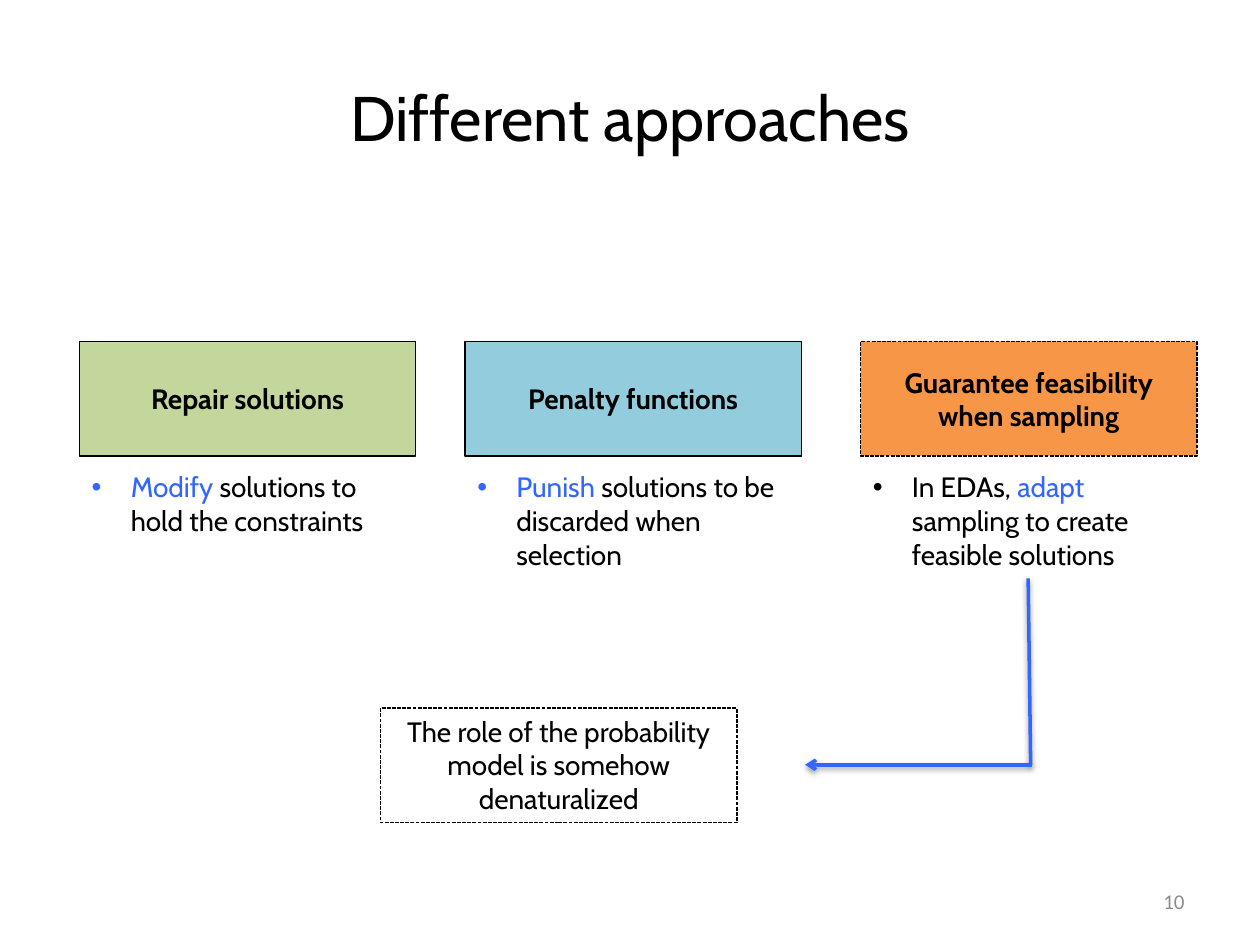
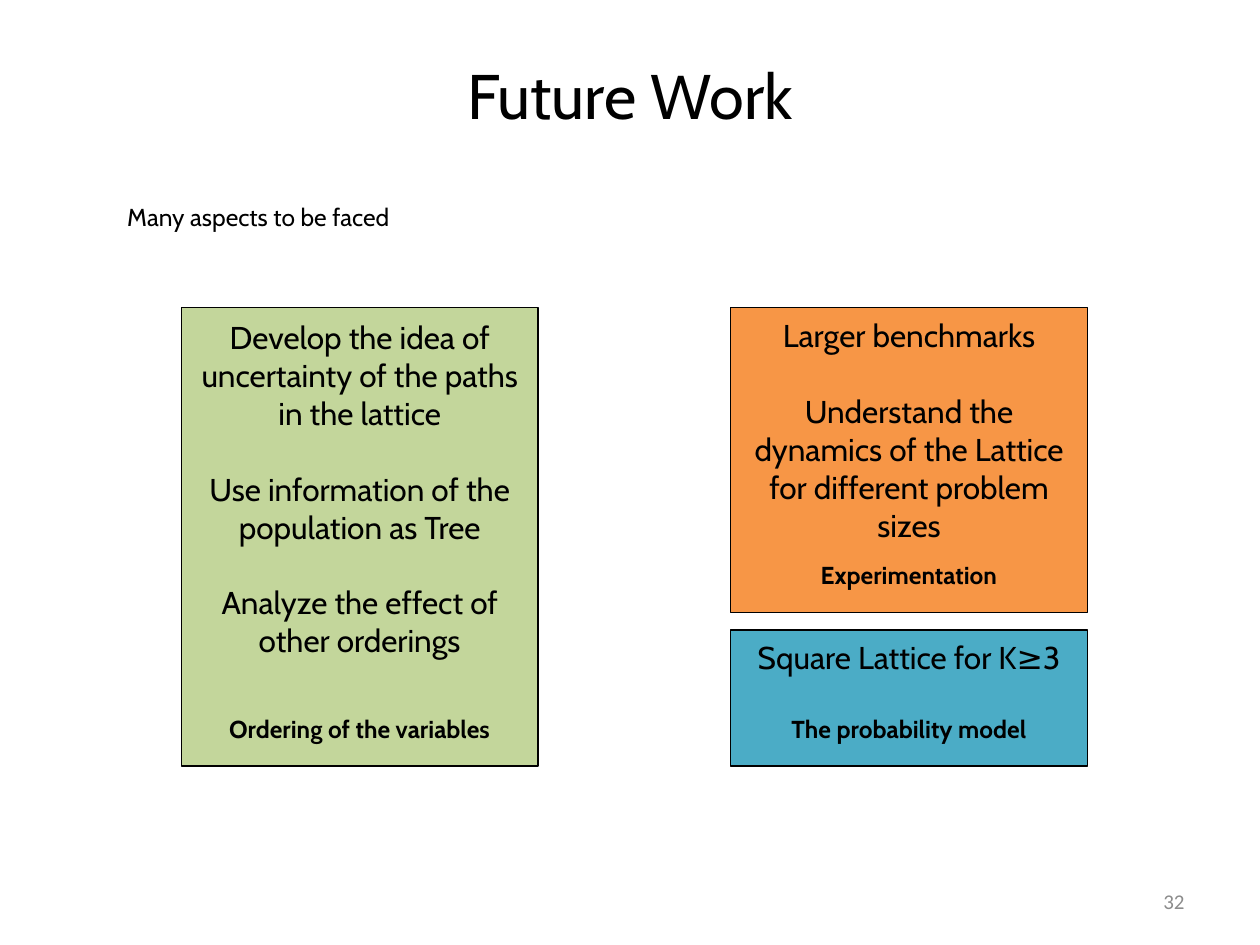
import pptx
import pptx.util
import pptx.dml.color
import pptx.enum.dml
import pptx.enum.shapes
import pptx.enum.text
import pptx.oxml
import pptx.oxml.ns

Inches = pptx.util.Inches
Pt = pptx.util.Pt
Align = pptx.enum.text.PP_ALIGN
Anchor = pptx.enum.text.MSO_ANCHOR

THEME = {
    "font": "Cabin",
    "number_font": "Calibri",
    "black": "000000",
    "grey": "8C8C8C",
    "blue": "3366FF",
    "green": "C3D69B",
    "sky": "93CDDD",
    "teal": "4BACC6",
    "orange": "F79646",
    "title": 36,
    "item": 18,
    "text": 16,
    "label": 14,
    "number": 12,
}
SIDES = ("left", "top", "width", "height")
NAMESPACE = pptx.oxml.ns.nsdecls("a")
SHADOW = (
    f'<a:effectLst {NAMESPACE}><a:outerShdw blurRad="40000" dist="20000" dir="5400000" rotWithShape="0">'
    '<a:srgbClr val="000000"><a:alpha val="38000"/></a:srgbClr></a:outerShdw></a:effectLst>'
)


def add_box(page, place, fill=None, outlined=True, dashed=False, **frame_format):
    spot = [Inches(length) for length in place]
    if outlined:
        box = page.shapes.add_shape(pptx.enum.shapes.MSO_SHAPE.RECTANGLE, *spot)
        box.shadow.inherit = False
        box.line.color.rgb = pptx.dml.color.RGBColor.from_string(THEME["black"])
        box.line.width = Pt(0.75)
        if dashed:
            box.line.dash_style = pptx.enum.dml.MSO_LINE.SQUARE_DOT
        if fill:
            box.fill.solid()
            box.fill.fore_color.rgb = pptx.dml.color.RGBColor.from_string(THEME[fill])
        else:
            box.fill.background()
    else:
        box = page.shapes.add_textbox(*spot)
    frame_values = {"word_wrap": True, "vertical_anchor": Anchor.TOP, **frame_format}
    for name, value in frame_values.items():
        setattr(box.text_frame, name, value)
    return box


def write(para, spans, size, alignment=Align.CENTER, before=0, bold=False, font="font"):
    para_values = {"alignment": alignment, "space_before": Pt(before)}
    for name, value in para_values.items():
        setattr(para, name, value)
    for text, color in spans:
        span = para.add_run()
        span.text = text
        font_values = {"name": THEME[font], "size": Pt(THEME[size]), "bold": bold}
        for name, value in font_values.items():
            setattr(span.font, name, value)
        span.font.color.rgb = pptx.dml.color.RGBColor.from_string(THEME[color])


deck = pptx.Presentation()
deck.slide_width = Inches(10)
deck.slide_height = Inches(7.5)

headings = [
    (5, "Different approaches", "10", 0.05),
    (1, "Future Work", "32", 0.41),
]
pages = []
for layout, heading, number, bottom in headings:
    page = deck.slides.add_slide(deck.slide_layouts[layout])
    pages.append(page)
    title = page.shapes.title
    for side, length in zip(SIDES, (0.5, 0.3, 9, 1.25)):
        setattr(title, side, Inches(length))
    title_values = {
        "vertical_anchor": Anchor.MIDDLE,
        "auto_size": pptx.enum.text.MSO_AUTO_SIZE.NONE,
        "margin_bottom": Inches(bottom),
    }
    for name, value in title_values.items():
        setattr(title.text_frame, name, value)
    write(title.text_frame.paragraphs[0], [(heading, "black")], "title")
    number_box = add_box(page, (7.17, 6.95, 2.33, 0.4), outlined=False, vertical_anchor=Anchor.MIDDLE)
    write(number_box.text_frame.paragraphs[0], [(number, "grey")], "number", Align.RIGHT, font="number_font")

approaches_page, future_page = pages

approaches = [
    (0.63, "Repair solutions", "green", False, 0.64,
     [("Modify ", "blue"), ("solutions to hold the constraints", "black")]),
    (3.69, "Penalty functions", "sky", False, 0.91,
     [("Punish ", "blue"), ("solutions to be discarded when selection", "black")]),
    (6.83, "Guarantee feasibility when sampling", "orange", True, 0.91,
     [("In EDAs, ", "black"), ("adapt ", "blue"), ("sampling to create feasible solutions", "black")]),
]
for left, name, fill, dashed, height, spans in approaches:
    header = add_box(approaches_page, (left, 2.71, 2.67, 0.91), fill, dashed=dashed,
                     vertical_anchor=Anchor.MIDDLE)
    write(header.text_frame.paragraphs[0], [(name, "black")], "text", bold=True)
    detail = add_box(approaches_page, (left, 3.68, 2.67, height), outlined=False)
    para = detail.text_frame.paragraphs[0]
    write(para, spans, "text", Align.LEFT)
    properties = para._p.get_or_add_pPr()
    properties.set("marL", str(Inches(0.31)))
    properties.set("indent", str(Inches(-0.31)))
    for tag in ('buFont {} typeface="Arial"', 'buChar {} char="•"'):
        properties.append(pptx.oxml.parse_xml(f"<a:{tag.format(NAMESPACE)}/>"))

for start, end, arrow in [((8.16, 4.59), (8.18, 6.07), False), ((8.19, 6.07), (6.39, 6.07), True)]:
    link = approaches_page.shapes.add_connector(
        pptx.enum.shapes.MSO_CONNECTOR.STRAIGHT, *[Inches(length) for length in start + end])
    link.line.color.rgb = pptx.dml.color.RGBColor.from_string(THEME["blue"])
    link.line.width = Pt(2)
    if arrow:
        link.line._get_or_add_ln().append(pptx.oxml.parse_xml(f'<a:tailEnd {NAMESPACE} type="arrow"/>'))
    link._element.spPr.append(pptx.oxml.parse_xml(SHADOW))

role = add_box(approaches_page, (3.02, 5.62, 2.83, 0.91), dashed=True)
write(role.text_frame.paragraphs[0],
      [("The role of the probability model is somehow denaturalized", "black")], "text")

intro = future_page.placeholders[1]
for side, length in zip(SIDES, (0.91, 1.55, 3.36, 0.61)):
    setattr(intro, side, Inches(length))
para = intro.text_frame.paragraphs[0]
write(para, [("Many aspects to be faced", "black")], "label", Align.LEFT, before=2.8)
properties = para._p.get_or_add_pPr()
properties.set("marL", "0")
properties.set("indent", "0")
properties.append(pptx.oxml.parse_xml(f"<a:buNone {NAMESPACE}/>"))

topics = [
    ((1.44, 2.44, 2.83, 3.64), "green", "Ordering of the variables", 31.4,
     ["Develop the idea of uncertainty of the paths in the lattice",
      "Use information of the population as Tree",
      "Analyze the effect of other orderings"]),
    ((5.8, 2.44, 2.83, 2.42), "orange", "Experimentation", 9.7,
     ["Larger benchmarks",
      "Understand the dynamics of the Lattice for different problem sizes"]),
    ((5.8, 5, 2.83, 1.08), "teal", "The probability model", 21.7,
     ["Square Lattice for K≥3"]),
]
for place, fill, label, label_gap, items in topics:
    topic = add_box(future_page, place, fill, vertical_anchor=Anchor.BOTTOM, margin_bottom=Inches(0.18))
    frame = topic.text_frame
    for index, item in enumerate(items):
        para = frame.add_paragraph() if index else frame.paragraphs[0]
        write(para, [(item, "black")], "item", before=21.7 if index else 0)
    write(frame.add_paragraph(), [(label, "black")], "label", before=label_gap, bold=True)

deck.save("out.pptx")
